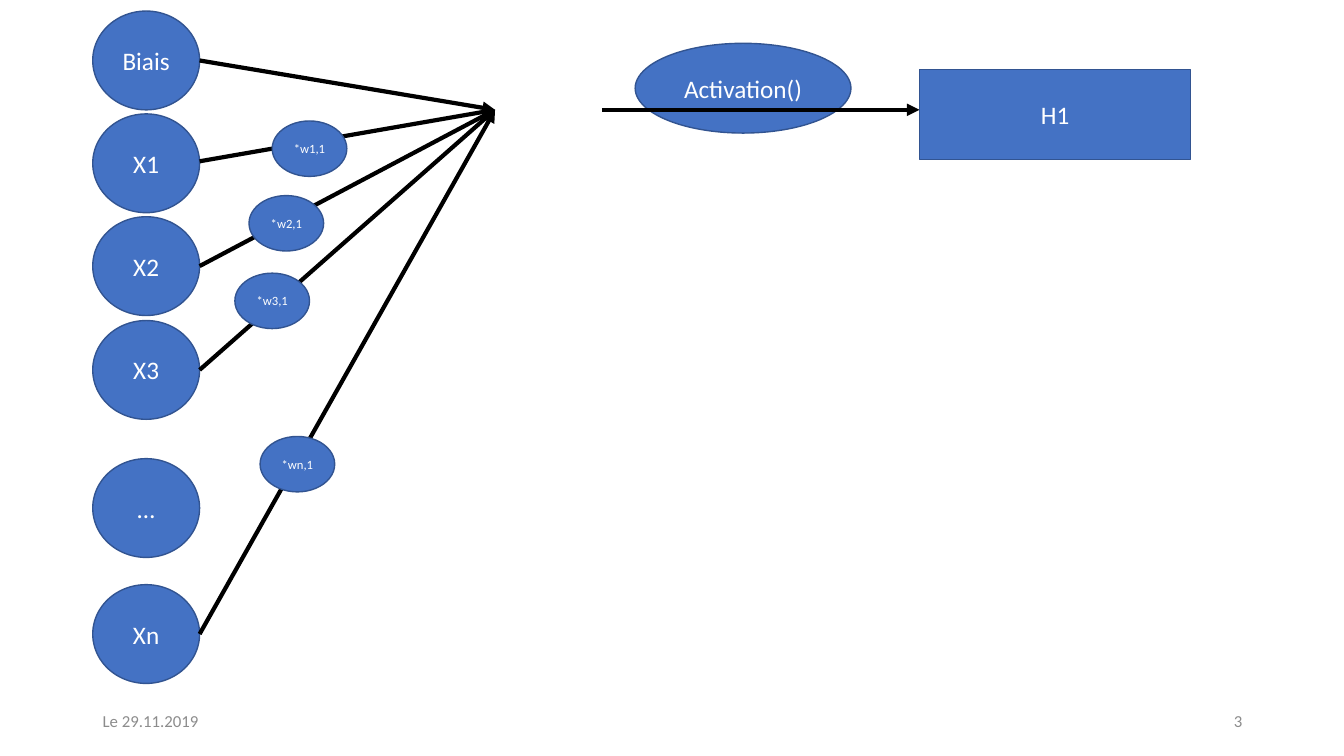
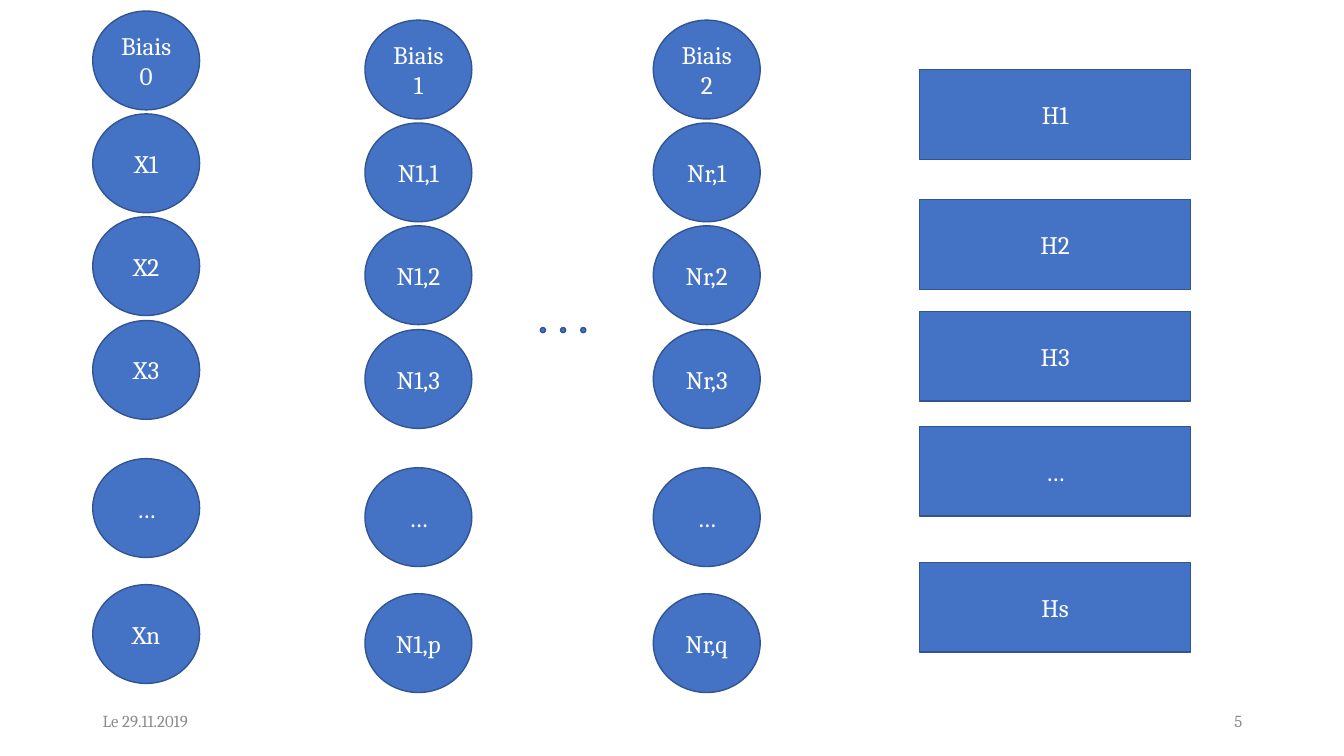
from lxml import etree
from pptx import Presentation
from pptx.dml.color import RGBColor
from pptx.enum.shapes import MSO_CONNECTOR, MSO_SHAPE
from pptx.enum.text import MSO_ANCHOR, PP_ALIGN
from pptx.oxml.ns import qn
from pptx.util import Emu, Pt

PX = 9144
BLUE, EDGE, WHITE, BLACK, GREY = "4472C4", "325491", "FFFFFF", "000000", "8C8C8C"
BLANK_LAYOUT = 6
NODE_WIDTH, NODE_HEIGHT = 106, 98
NODE_OFFSETS = (0, 102, 204, 307, 444, 569)
INPUT_LEFT, INPUT_TOP = 92, 11
OUTPUT_LEFT, OUTPUT_WIDTH, OUTPUT_HEIGHT = 912, 269, 89
SUM_X, SUM_Y = 491, 109


def px(*lengths):
    """Turn px lengths into EMU."""
    return [Emu(length * PX) for length in lengths]


def color(value):
    """Turn a hex string into a colour."""
    return RGBColor.from_string(value)


def write(shape, text, font, size, fill, align):
    """Set the text of a shape and format every run."""
    text_frame = shape.text_frame
    text_frame.text = text
    text_frame.vertical_anchor = MSO_ANCHOR.MIDDLE
    for paragraph in text_frame.paragraphs:
        paragraph.alignment = align
        for run in paragraph.runs:
            run.font.name = font
            run.font.size = Pt(size)
            run.font.color.rgb = color(fill)


def add_block(slide, kind, box, text="", font="Calibri", size=18, wrap=True):
    """Add a blue shape with centred white text."""
    shape = slide.shapes.add_shape(kind, *px(*box))
    shape.shadow.inherit = False
    shape.fill.solid()
    shape.fill.fore_color.rgb = color(BLUE)
    shape.line.color.rgb = color(EDGE)
    shape.line.width = Pt(1)
    shape.text_frame.word_wrap = wrap
    write(shape, text, font, size, WHITE, PP_ALIGN.CENTER)


def add_layer(slide, left, top, labels, font):
    """Add one column of neurons."""
    for offset, label in zip(NODE_OFFSETS, labels):
        box = (left, top + offset, NODE_WIDTH, NODE_HEIGHT)
        add_block(slide, MSO_SHAPE.OVAL, box, label, font)


def add_output(slide, top, label, font):
    """Add one output rectangle."""
    box = (OUTPUT_LEFT, top, OUTPUT_WIDTH, OUTPUT_HEIGHT)
    add_block(slide, MSO_SHAPE.RECTANGLE, box, label, font)


def add_arrow(slide, *ends):
    """Add a thick black arrow from start x, y to end x, y."""
    arrow = slide.shapes.add_connector(MSO_CONNECTOR.STRAIGHT, *px(*ends))
    arrow.line.color.rgb = color(BLACK)
    arrow.line.width = Pt(3)
    properties = arrow.line._get_or_add_ln()
    etree.SubElement(properties, qn("a:tailEnd"), type="triangle")
    etree.SubElement(arrow._element.spPr, qn("a:effectLst"))


def add_slide(presentation, number, font):
    """Add a blank slide with the date and its number at the foot."""
    slide = presentation.slides.add_slide(presentation.slide_layouts[BLANK_LAYOUT])
    footers = ((92, "Le 29.11.2019", PP_ALIGN.LEFT), (942, number, PP_ALIGN.RIGHT))
    for left, text, align in footers:
        box = slide.shapes.add_textbox(*px(left, 695, 300, 40))
        box.text_frame.word_wrap = True
        write(box, text, font, 12, GREY, align)
    return slide


def build_neuron(presentation):
    """Show how one neuron sums its weighted inputs."""
    font = "Calibri"
    slide = add_slide(presentation, "3", font)
    labels = ("Biais", "X1", "X2", "X3", "…", "Xn")
    add_layer(slide, INPUT_LEFT, INPUT_TOP, labels, font)
    for start in (60, 160, 264, 367, 629):
        add_arrow(slide, INPUT_LEFT + NODE_WIDTH, start, SUM_X, SUM_Y)
    weights = (("1", 270, 120), ("2", 247, 194), ("3", 233, 271), ("n", 258, 433))
    for index, left, top in weights:
        box = (left, top, 74, 55)
        add_block(slide, MSO_SHAPE.OVAL, box, f"*w{index},1", font, 9, wrap=False)
    add_block(slide, MSO_SHAPE.OVAL, (630, 43, 214, 89), "Activation()", font)
    add_arrow(slide, 597, SUM_Y, OUTPUT_LEFT, SUM_Y)
    add_output(slide, 69, "H1", font)


def build_network(presentation):
    """Show the layers of the whole network."""
    font = "Cambria"
    slide = add_slide(presentation, "5", font)
    layers = (
        (INPUT_LEFT, INPUT_TOP, ("Biais0", "X1", "X2", "X3", "…", "Xn")),
        (362, 20, ("Biais\n1", "N1,1", "N1,2", "N1,3", "…", "N1,p")),
        (648, 20, ("Biais\n2", "Nr,1", "Nr,2", "Nr,3", "…", "Nr,q")),
    )
    for left, top, labels in layers:
        add_layer(slide, left, top, labels, font)
    for left in range(536, 577, 20):
        add_block(slide, MSO_SHAPE.OVAL, (left, 325, 5, 5))
    outputs = ((69, "H1"), (198, "H2"), (309, "H3"), (423, "…"), (558, "Hs"))
    for top, label in outputs:
        add_output(slide, top, label, font)


def main():
    """Build and save the presentation."""
    presentation = Presentation()
    presentation.slide_width, presentation.slide_height = px(1333, 750)
    build_neuron(presentation)
    build_network(presentation)
    presentation.save("out.pptx")


if __name__ == "__main__":
    main()
